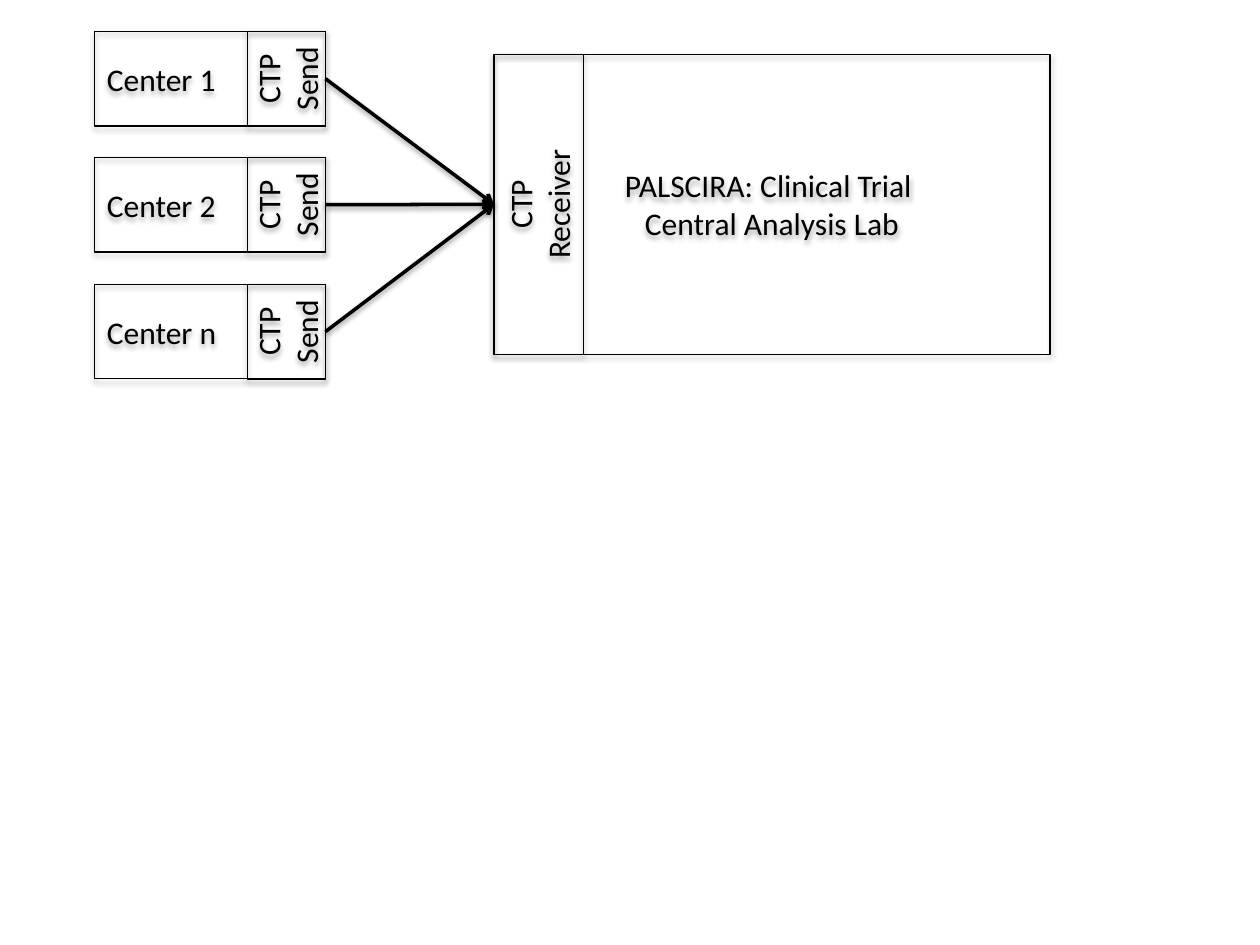
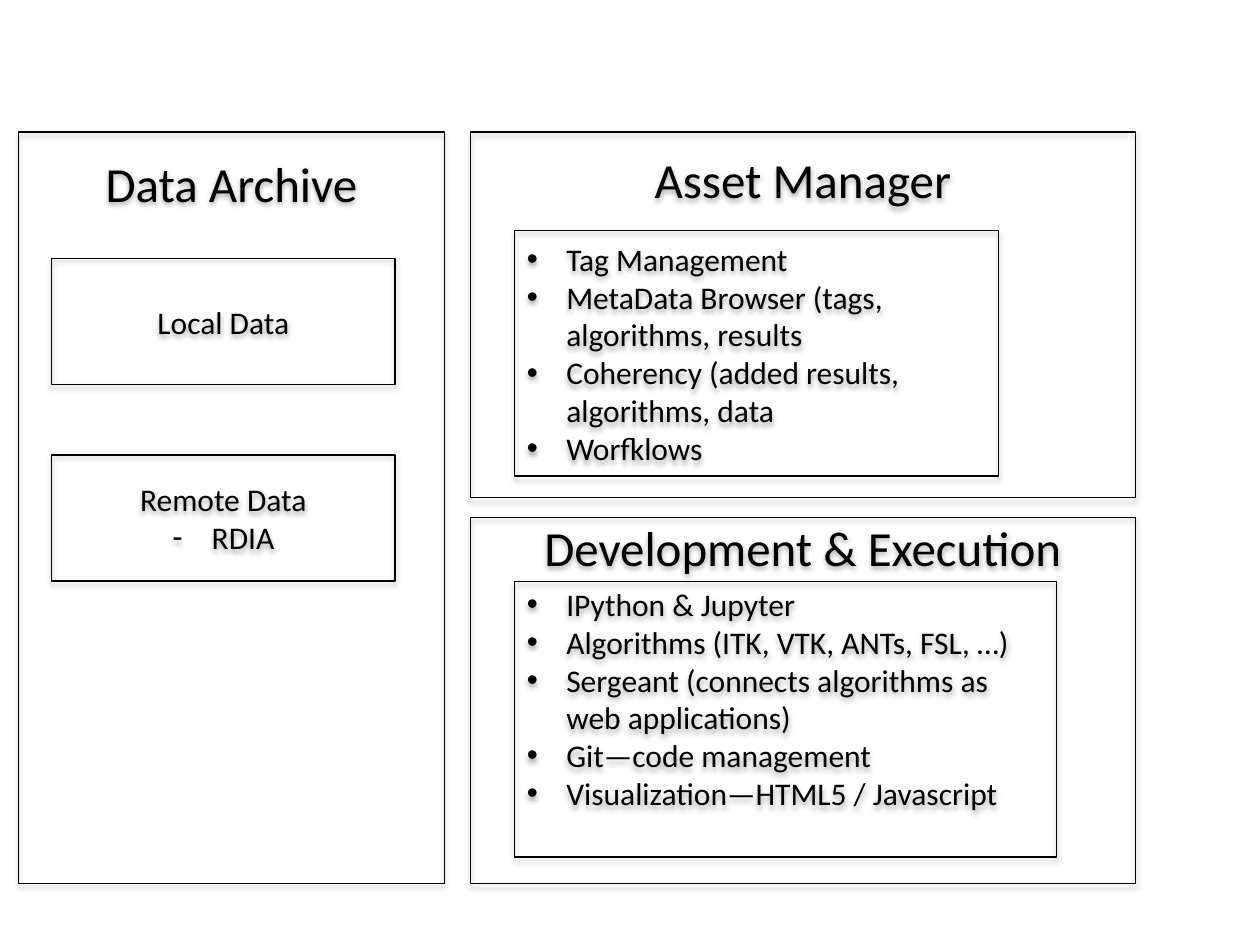
from lxml import etree
from pptx import Presentation
from pptx import util as u
from pptx.dml.color import RGBColor
from pptx.enum import shapes, text
from pptx.oxml.ns import qn

Pt = u.Pt
LEFT, CENTER = text.PP_ALIGN.LEFT, text.PP_ALIGN.CENTER
TOP, MIDDLE = text.MSO_ANCHOR.TOP, text.MSO_ANCHOR.MIDDLE


def color(hex_string):
    return RGBColor.from_string(hex_string)


def sub(parent, tag, **attrs):
    return etree.SubElement(parent, qn(tag), {k: str(v) for k, v in attrs.items()})


class Diagram:
    """Black outlined boxes, text and arrows with a soft shadow."""
    font, ink = "Calibri", "000000"
    body, heading = 18, 28
    indent = 22.5

    def __init__(self, prs):
        self.prs = prs
        self.s = None

    def slide(self):
        self.s = self.prs.slides.add_slide(self.prs.slide_layouts[6])

    def shadow(self, effects, alpha, dist):
        shdw = sub(effects, "a:outerShdw", blurRad=Pt(3.15), dist=Pt(dist),
                   dir=90 * 60000, rotWithShape=0)
        clr = sub(shdw, "a:srgbClr", val=self.ink)
        sub(clr, "a:alpha", val=alpha * 1000)

    def bullet(self, p, mark):
        pPr = p._p.get_or_add_pPr()
        pPr.set("marL", str(Pt(self.indent)))
        pPr.set("indent", str(-Pt(self.indent)))
        sub(pPr, "a:buFont", typeface="Arial")
        sub(pPr, "a:buChar", char=mark)

    def box(self, x, y, w, h, lines, size=body, align=CENTER, anchor=MIDDLE,
            inset=3.6, marks=None):
        """Draw a box; marks gives the bullet of each line, if any."""
        sp = self.s.shapes.add_shape(shapes.MSO_SHAPE.RECTANGLE,
                                     Pt(x), Pt(y), Pt(w), Pt(h))
        sp.fill.background()
        sp.line.color.rgb = color(self.ink)
        sp.line.width = Pt(0.75)
        sp.shadow.inherit = False
        self.shadow(sp._element.spPr.find(qn("a:effectLst")), 35, 1.8)
        tf = sp.text_frame
        tf.word_wrap = True
        tf.vertical_anchor = anchor
        tf.margin_top = Pt(inset)
        for i, line in enumerate(lines):
            p = tf.paragraphs[0] if i == 0 else tf.add_paragraph()
            p.text = line
            p.alignment = align
            p.font.name, p.font.size = self.font, Pt(size)
            p.font.color.rgb = color(self.ink)
            if marks and marks[i]:
                self.bullet(p, marks[i])
        return sp

    def turned_box(self, x, y, w, h, lines):
        """Box with text reading upwards; x, y, w, h are as seen."""
        sp = self.box(x + (w - h) / 2, y + (h - w) / 2, h, w, lines)
        sp.rotation = 270

    def panel(self, x, y, w, h, title, inset):
        self.box(x, y, w, h, [title], self.heading, anchor=TOP, inset=inset)

    def bullets(self, x, y, w, h, lines, **style):
        self.box(x, y, w, h, lines, align=LEFT, marks="•" * len(lines), **style)

    def arrow(self, start, end):
        """Join the right side of start to the left side of end."""
        c = self.s.shapes.add_connector(shapes.MSO_CONNECTOR.STRAIGHT, 0, 0, 0, 0)
        c.begin_connect(start, 3)
        c.end_connect(end, 1)
        c.line.color.rgb = color(self.ink)
        c.line.width = Pt(2)
        sub(c.line._get_or_add_ln(), "a:tailEnd", type="arrow")
        self.shadow(sub(c._element.spPr, "a:effectLst"), 38, 1.6)


def centers_slide(d):
    d.slide()
    lab_x, lab_y, lab_h = 282.25, 31, 171.5
    lab = d.box(lab_x, lab_y, 317.75, lab_h,
                ["PALSCIRA: Clinical Trial ", "Central Analysis Lab"])
    d.turned_box(lab_x, lab_y, 51.25, lab_h, ["CTP", "Receiver"])

    # Centers, each with its sender
    x, w, h, send_w = 54, 132, 54, 44.5
    for name, y in (("1", 18), ("2", 90), ("n", 162.5)):
        center = d.box(x, y, w, h, [f"Center {name}"], align=LEFT)
        d.arrow(center, lab)
        d.turned_box(x + w - send_w, y, send_w, h, ["CTP", "Send"])


def platform_slide(d):
    d.slide()
    top, bottom = 75.5, 504.75
    right_x, right_w, right_h = 268.75, 380, 209

    # Panels
    d.panel(10.5, top, 243.5, bottom - top, "Data Archive", 12)
    d.panel(right_x, top, right_w, right_h, "Asset Manager", 10)
    d.panel(right_x, bottom - right_h, right_w, right_h, "Development & Execution", 0)

    # Data sources
    d.box(29.5, 147.75, 196.25, 72, ["Local Data"])
    d.box(29.5, 260, 196.25, 72, ["Remote Data", "RDIA"], marks=["", "-"])

    # Feature lists
    list_x = right_x + 25.25
    d.bullets(list_x, 131.75, 276.5, 140.25, [
        "Tag Management",
        "MetaData Browser (tags, algorithms, results",
        "Coherency (added results, algorithms, data",
        "Worfklows"])
    d.bullets(list_x, 332.25, 309.75, 157.5, [
        "IPython & Jupyter",
        "Algorithms (ITK, VTK, ANTs, FSL, …)",
        "Sergeant (connects algorithms as web applications)",
        "Git—code management",
        "Visualization—HTML5 / Javascript"], anchor=TOP, inset=2)


def main():
    prs = Presentation()
    prs.slide_width, prs.slide_height = Pt(720), Pt(540)
    d = Diagram(prs)
    centers_slide(d)
    platform_slide(d)
    prs.save("out.pptx")


if __name__ == "__main__":
    main()
